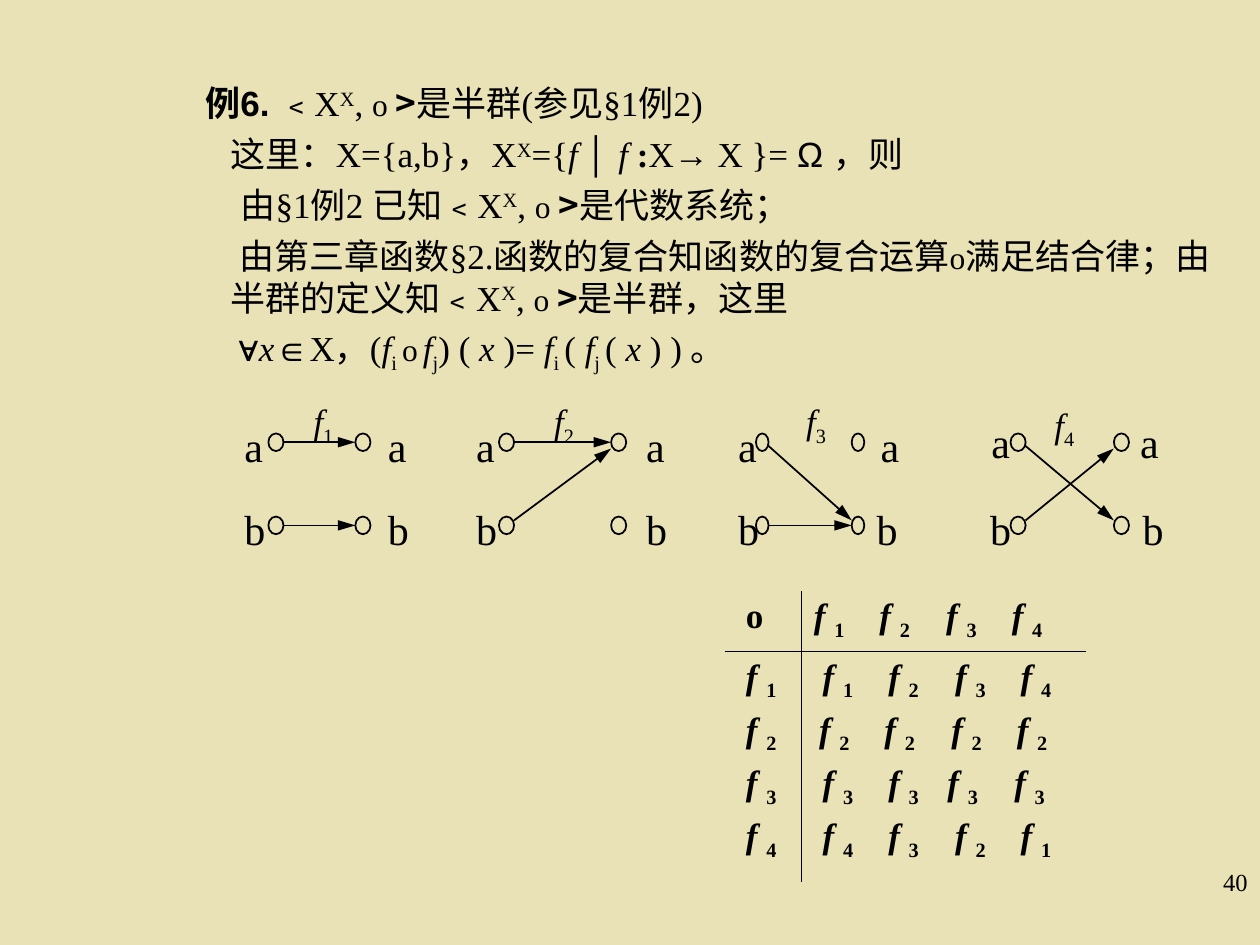
"""Build a slide on the semigroup of functions from X to X, with its operation table."""
from lxml import etree
from pptx import Presentation
from pptx import util as u
from pptx.dml.color import RGBColor
from pptx.enum import shapes, text
from pptx.oxml.ns import qn

COLORS = {"ground": "E9E2B6", "ink": "000000"}
SERIF, SANS, CJK = "Times New Roman", "Arial", "Noto Sans CJK SC"

STYLES = {
    "plain": {},
    "italic": {"italic": True},
    "bold": {"bold": True},
    "bold italic": {"bold": True, "italic": True},
    "bold sub": {"bold": True, "base": -25},
    "sup": {"base": 30},
    "sub": {"base": -25},
    "circle": {"size": 18},
    "sans": {"name": SANS},
    "heading": {"name": SANS, "bold": True},
    "cjk": {"name": CJK},
    "bracket": {"name": CJK, "bold": True},
}

POWER_SET = [("X", "sup"), (", ", "plain"), ("o ", "circle"), (">", "bracket")]

# left margin, first line indent, runs
BODY = [
    (0, 0, [("例6. ", "heading"), ("﹤X", "plain"), *POWER_SET,
            ("是半群(参见§1", "plain"), ("例", "cjk"), ("2)", "plain")]),
    (0.2, 0, [("这里：X={a,b}，X", "plain"), ("X", "sup"), ("={", "plain"),
              ("f ", "italic"), ("│ ", "sans"), ("f ", "italic"), (":", "bold"),
              ("X", "plain"), ("→", "sans"), (" X }= ", "plain"), ("Ω ", "sans"),
              ("，则", "plain")]),
    (0.28, 0, [("由§1", "plain"), ("例", "cjk"), ("2 已知﹤X", "plain"), *POWER_SET,
               ("是代数系统；", "plain")]),
    (0.2, 0.07, [("由第三章函数§2.函数的复合知函数的复合运算", "plain"), ("o", "circle"),
                 ("满足结合律；由半群的定义知﹤X", "plain"), *POWER_SET,
                 ("是半群，这里", "plain")]),
    (0.26, 0, [("∀", "sans"), ("x", "italic"), ("∈", "sans"), ("X，(", "plain"),
               ("f", "italic"), ("i ", "sub"), ("o", "circle"), (" ", "sub"),
               ("f", "italic"), ("j", "sub"), (") (", "plain"), (" x ", "italic"),
               (")= ", "plain"), ("f", "italic"), ("i ", "sub"), ("( ", "plain"),
               ("f", "italic"), ("j ", "sub"), ("( ", "plain"), ("x", "italic"),
               (" ) ) 。", "plain")]),
]

DOT_TOP = {"a": 3.44, "b": 4.1}
DOT_HEIGHT = 0.14
DIAGRAMS = [
    {"name": "1", "name_at": (2.39, 3.12), "dots": (2.13, 2.82), "dot_width": 0.12,
     "labels": {"a": (1.84, 2.98, 3.29), "b": (1.84, 2.98, 3.95)}, "arrows": ["aa", "bb"]},
    {"name": "2", "name_at": (4.3, 3.12), "dots": (3.96, 4.85), "dot_width": 0.12,
     "labels": {"a": (3.68, 5.03, 3.29), "b": (3.68, 5.03, 3.95)}, "arrows": ["aa", "ba"]},
    {"name": "3", "name_at": (6.3, 3.12), "dots": (6, 6.76), "dot_width": 0.1,
     "labels": {"a": (5.76, 6.89, 3.29), "b": (5.76, 6.86, 3.95)}, "arrows": ["ab", "bb"]},
    {"name": "4", "name_at": (8.27, 3.15), "dots": (8.02, 8.84), "dot_width": 0.12,
     "labels": {"a": (7.77, 8.95, 3.26), "b": (7.76, 8.97, 3.95)}, "arrows": ["ba", "ab"]},
]
ARROW_Y = {"aa": (3.51, 3.51), "bb": (4.17, 4.17), "ab": (3.54, 4.13), "ba": (4.13, 3.56)}

# lead run, tab stops, function indices
HEADER = ((), (0.52, 1.05, 1.57), "1234")
PRODUCTS = [
    ((" ", "bold"), (0.59, 1.12, 1.64), "1234"),
    ((" ", "bold sub"), (0.56, 1.09, 1.61), "2222"),
    ((" ", "bold"), (0.59, 1.06, 1.59), "3333"),
    ((" ", "bold"), (0.59, 1.12, 1.64), "4321"),
]


def color(name):
    return RGBColor.from_string(COLORS[name])


def add_runs(para, runs, size=20):
    for words, style in runs:
        look = STYLES[style]
        span = para.add_run()
        span.text = words
        span.font.size = u.Pt(look.get("size", size))
        span.font.name = look.get("name", SERIF)
        span.font.bold = look.get("bold", False)
        span.font.italic = look.get("italic", False)
        span.font.color.rgb = color("ink")
        if "base" in look:
            span.font._element.set("baseline", str(look["base"] * 1000))


def add_label(parent, left, top, width, height, runs, size=20, align=text.PP_ALIGN.LEFT):
    box = parent.shapes.add_textbox(*map(u.Inches, (left, top, width, height)))
    box.text_frame.word_wrap = align == text.PP_ALIGN.RIGHT
    para = box.text_frame.paragraphs[0]
    para.alignment = align
    add_runs(para, runs, size)


def fill_body(box):
    box.left, box.top, box.width, box.height = map(u.Inches, (1.53, 0.6, 8.19, 4.5))
    frame = box.text_frame
    frame.word_wrap = True
    frame.auto_size = text.MSO_AUTO_SIZE.NONE
    for number, (margin, indent, runs) in enumerate(BODY):
        para = frame.add_paragraph() if number else frame.paragraphs[0]
        props = para._p.get_or_add_pPr()
        props.set("marL", str(u.Inches(margin)))
        props.set("indent", str(u.Inches(indent)))
        etree.SubElement(props, qn("a:buNone"))
        para.space_before = u.Pt(5 if number else 0)
        add_runs(para, runs)


def add_arrow(group, start, end):
    arrow = group.shapes.add_connector(
        shapes.MSO_CONNECTOR.STRAIGHT, *map(u.Inches, (*start, *end)))
    arrow.line.color.rgb = color("ink")
    arrow.line.width = u.Pt(1)
    etree.SubElement(arrow.line._get_or_add_ln(), qn("a:tailEnd"),
                     type="triangle", w="med", len="lg")
    etree.SubElement(arrow._element.spPr, qn("a:effectLst"))


def add_diagram(page, diagram):
    group = page.shapes.add_group_shape()
    left, right = diagram["dots"]
    for element, (*label_lefts, label_top) in diagram["labels"].items():
        for dot_left, label_left in zip((left, right), label_lefts):
            dot = group.shapes.add_shape(
                shapes.MSO_SHAPE.OVAL,
                *map(u.Inches, (dot_left, DOT_TOP[element], diagram["dot_width"], DOT_HEIGHT)))
            dot.shadow.inherit = False
            dot.fill.background()
            dot.line.color.rgb = color("ink")
            dot.line.width = u.Pt(1)
            add_label(group, label_left, label_top, 0.35, 0.5, [(element, "plain")], 24)
    for pair in diagram["arrows"]:
        start_y, end_y = ARROW_Y[pair]
        add_arrow(group, (left + diagram["dot_width"], start_y), (right, end_y))
    add_label(group, *diagram["name_at"], 0.36, 0.48,
              [("f", "italic"), (diagram["name"], "sub")])


def add_functions(para, lead, stops, indices):
    if stops:
        tabs = etree.SubElement(para._p.get_or_add_pPr(), qn("a:tabLst"))
        for stop in stops:
            etree.SubElement(tabs, qn("a:tab"), pos=str(u.Inches(stop)), algn="l")
    runs = [lead] if lead else []
    for number, index in enumerate(indices):
        runs += [("\tf " if number else "f ", "bold italic"), (index, "bold sub")]
    add_runs(para, runs)


def set_borders(cell, drawn):
    props = cell._tc.get_or_add_tcPr()
    for position, side in enumerate("LRTB"):
        line = etree.Element(qn("a:ln" + side), w=str(u.Pt(0.45)))
        if side in drawn:
            fill = etree.SubElement(line, qn("a:solidFill"))
            etree.SubElement(fill, qn("a:srgbClr"), val=COLORS["ink"])
        else:
            etree.SubElement(line, qn("a:noFill"))
        props.insert(position, line)


def add_products(page):
    table = page.shapes.add_table(2, 2, *map(u.Inches, (5.75, 4.69, 2.87, 2.31))).table
    table.first_row = table.horz_banding = False
    for column, width in zip(table.columns, (0.61, 2.26)):
        column.width = u.Inches(width)
    for row, height in zip(table.rows, (0.48, 1.83)):
        row.height = u.Inches(height)
    for (row, column), sides in {(0, 0): "RB", (0, 1): "LB", (1, 0): "RT", (1, 1): "LT"}.items():
        cell = table.cell(row, column)
        cell.fill.background()
        set_borders(cell, sides)
    add_runs(table.cell(0, 0).text_frame.paragraphs[0], [(" o", "bold")])
    add_functions(table.cell(0, 1).text_frame.paragraphs[0], *HEADER)
    rows_by_column = [[((" ", "bold"), (), index) for index in "1234"], PRODUCTS]
    for column, rows in enumerate(rows_by_column):
        frame = table.cell(1, column).text_frame
        for number, row in enumerate(rows):
            para = frame.add_paragraph() if number else frame.paragraphs[0]
            if number:
                para.space_before = u.Pt(5)
            add_functions(para, *row)


def main():
    deck = Presentation()
    deck.slide_width, deck.slide_height = u.Inches(10), u.Inches(7.5)
    page = deck.slides.add_slide(deck.slide_layouts[1])
    page.background.fill.solid()
    page.background.fill.fore_color.rgb = color("ground")
    title = page.shapes.title._element
    title.getparent().remove(title)
    fill_body(page.placeholders[1])
    for diagram in DIAGRAMS:
        add_diagram(page, diagram)
    add_products(page)
    add_label(page, 7.92, 6.83, 2.08, 0.5, [("40", "plain")], 14, text.PP_ALIGN.RIGHT)
    deck.save("out.pptx")


if __name__ == "__main__":
    main()
